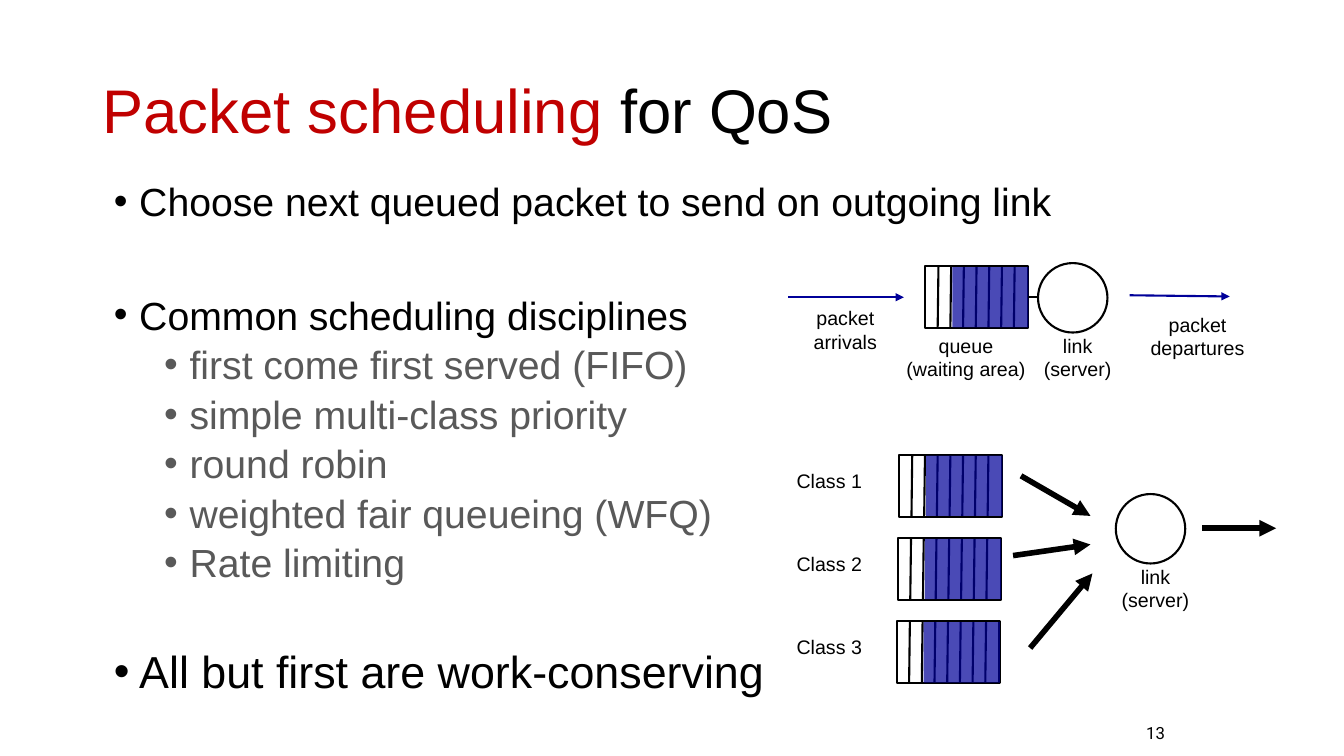
"""Build the packet scheduling slide."""
from lxml.etree import SubElement
from pptx import Presentation
from pptx.dml.color import RGBColor
from pptx.enum.shapes import MSO_CONNECTOR, MSO_SHAPE
from pptx.enum.text import MSO_ANCHOR, PP_ALIGN
from pptx.oxml.ns import qn
from pptx.util import Cm, Pt

COLORS = {"ink": "000000", "grey": "595959", "red": "C00000", "blue": "000099"}


class SchedulingSlide:
    """Hold the style and the current slide."""

    def __init__(self, slide, font="Arial", outline=1.5):
        self.slide, self.font, self.outline = slide, font, outline

    def color(self, name):
        return RGBColor.from_string(COLORS[name])

    def style(self, font, size, color="ink", face=None):
        font.name, font.size = face or self.font, Pt(size)
        font.color.rgb = self.color(color)

    def frame(self, x, y, w, h, wrap=True, anchor=MSO_ANCHOR.TOP):
        frame = self.slide.shapes.add_textbox(Cm(x), Cm(y), Cm(w), Cm(h)).text_frame
        frame.word_wrap, frame.vertical_anchor = wrap, anchor
        return frame

    def title(self, parts, x, y, w, h):
        heading = self.frame(x, y, w, h, anchor=MSO_ANCHOR.MIDDLE).paragraphs[0]
        heading.line_spacing = 0.9
        for text, color in parts:
            run = heading.add_run()
            run.text = text
            self.style(run.font, 44, color)

    def bullets(self, items, x, y, w, h):
        frame = self.frame(x, y, w, h)
        for i, (text, level, size, before) in enumerate(items):
            item = frame.add_paragraph() if i else frame.paragraphs[0]
            item.text, item.level = text, level
            item.line_spacing = Pt(round(size * 1.085, 1))
            item.space_before = Pt(before)
            props = item._p.get_or_add_pPr()
            props.set("marL", str(Cm(0.64 + 1.27 * level)))
            props.set("indent", str(Cm(-0.64)))
            SubElement(props, qn("a:buFont")).set("typeface", self.font)
            SubElement(props, qn("a:buChar")).set("char", "•")
            self.style(item.font, size, "grey" if level else "ink")

    def label(self, lines, x, y, w, h=1.45):
        frame = self.frame(x, y, w, h, wrap=False)
        for i, line in enumerate(lines):
            row = frame.add_paragraph() if i else frame.paragraphs[0]
            row.text, row.alignment = line, PP_ALIGN.CENTER
            self.style(row.font, 14)

    def page_number(self, text, x, y, w, h):
        number = self.frame(x, y, w, h, anchor=MSO_ANCHOR.MIDDLE).paragraphs[0]
        number.text, number.alignment = text, PP_ALIGN.RIGHT
        self.style(number.font, 12, face="Roboto")

    def outlined(self, kind, x, y, w, h):
        shape = self.slide.shapes.add_shape(kind, Cm(x), Cm(y), Cm(w), Cm(h))
        shape.shadow.inherit = False
        shape.fill.background()
        shape.line.color.rgb = self.color("ink")
        shape.line.width = Pt(self.outline)
        return shape

    def server(self, x, y):
        self.outlined(MSO_SHAPE.OVAL, x, y, 1.75, 1.75)

    def line(self, x1, y1, x2, y2, color="ink", width=None, arrow=False):
        link = self.slide.shapes.add_connector(
            MSO_CONNECTOR.STRAIGHT, Cm(x1), Cm(y1), Cm(x2), Cm(y2))
        link.line.color.rgb = self.color(color)
        link.line.width = Pt(width or self.outline)
        if arrow:
            SubElement(link.line._get_or_add_ln(), qn("a:tailEnd")).set("type", "triangle")
        SubElement(link._element.spPr, qn("a:effectLst"))

    def queue(self, x, y):
        self.outlined(MSO_SHAPE.RECTANGLE, x, y, 2.59, 1.56)
        for i in range(7):
            divider = x + 0.33 + 0.32 * i
            self.line(divider, y, divider - 0.02, y + 1.56)
        packets = self.outlined(MSO_SHAPE.RECTANGLE, x + 0.68, y + 0.02, 1.92, 1.52)
        packets.line.fill.background()
        packets.fill.solid()
        packets.fill.fore_color.rgb = self.color("blue")
        tint = packets._element.spPr.find(qn("a:solidFill"))[0]
        SubElement(tint, qn("a:alpha")).set("val", "71000")


def main():
    deck = Presentation()
    deck.slide_width, deck.slide_height = Cm(33.87), Cm(19.05)
    page = SchedulingSlide(deck.slides.add_slide(deck.slide_layouts[6]))

    page.bullets([
        ("Choose next queued packet to send on outgoing link", 0, 28, 0),
        ("Common scheduling disciplines", 0, 28, 50.4),
        ("first come first served (FIFO)", 1, 28, 5),
        ("simple multi-class priority", 1, 28, 5),
        ("round robin", 1, 28, 5),
        ("weighted fair queueing (WFQ)", 1, 28, 5),
        ("Rate limiting", 1, 28, 5),
        ("All but first are work-conserving", 0, 32, 45.5),
    ], 2.62, 4.47, 28.65, 14.38)

    page.queue(23.32, 6.71)
    page.server(26.16, 6.63)
    page.line(25.91, 7.49, 26.16, 7.49)
    page.line(19.86, 7.49, 22.78, 7.49, "blue", arrow=True)
    page.line(28.47, 7.44, 30.99, 7.47, "blue", arrow=True)
    page.label(["packet", "arrivals"], 20.24, 7.59, 2.13)
    page.label(["queue", "(waiting area)"], 22.58, 8.28, 3.53)
    page.label(["link", "(server)"], 25.98, 8.28, 2.36)
    page.label(["packet", "departures"], 28.73, 7.75, 2.9)

    page.page_number("13", 27.71, 18.08, 1.9, 0.76)
    page.title([("Packet scheduling ", "red"), ("for QoS", "ink")], 2.34, 1.02, 29.21, 3.68)

    for i in range(3):
        page.queue(22.66 - 0.03 * i, 11.46 + 2.1 * i)
        page.label([f"Class {i + 1}"], 19.81, 11.68 + 2.1 * i, 2.18, 0.86)
    page.server(28.12, 12.45)
    page.label(["link", "(server)"], 27.94, 14.1, 2.36)
    for ends in [(25.73, 11.99, 27.48, 13), (25.53, 14, 27.48, 13.72),
                 (25.96, 16.33, 27.53, 14.45), (30.3, 13.31, 32.16, 13.31)]:
        page.line(*ends, width=4, arrow=True)

    deck.save("out.pptx")


if __name__ == "__main__":
    main()
